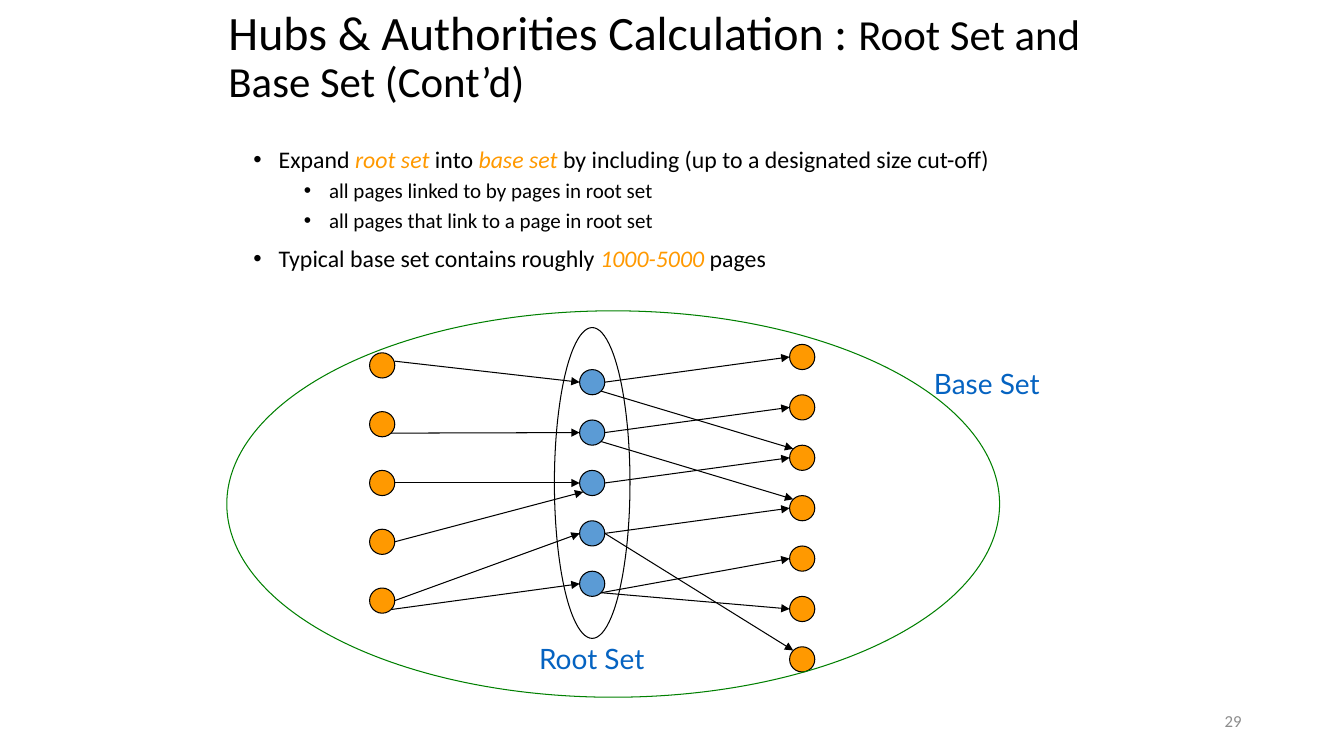
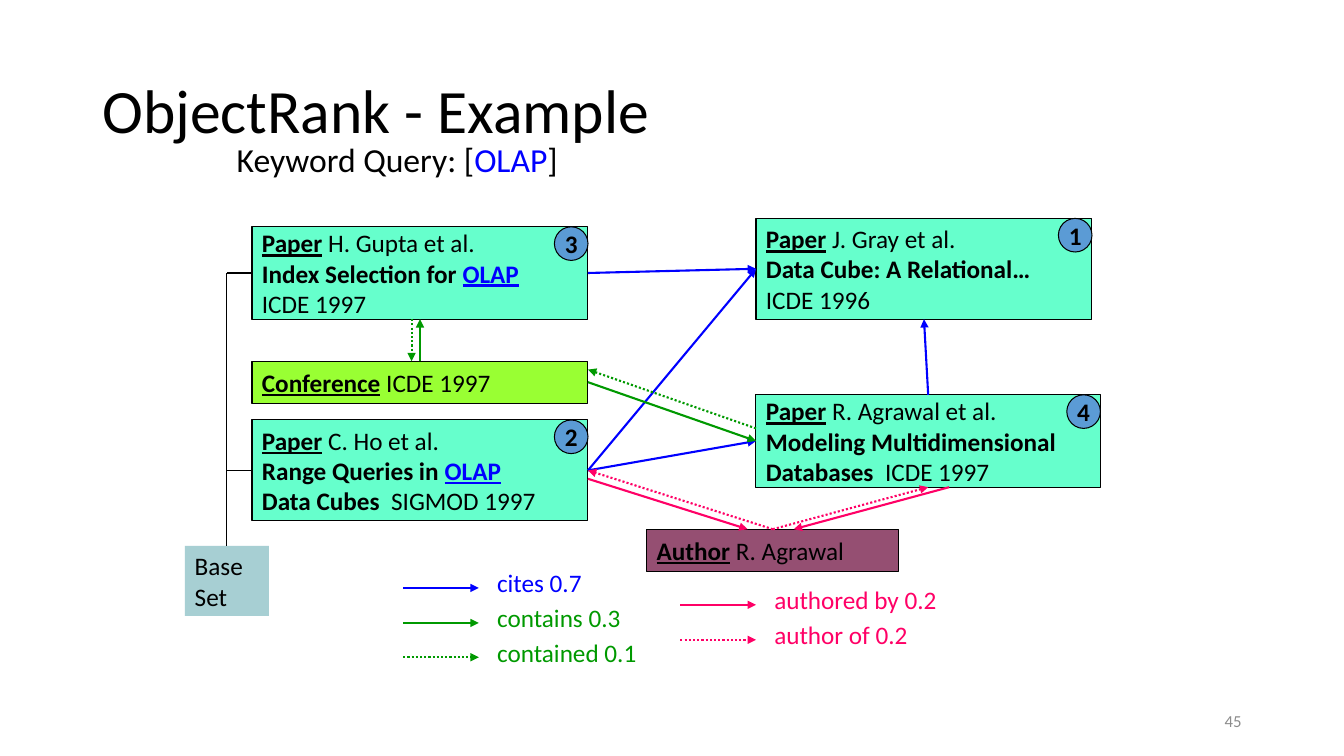
import pptx
import pptx.dml.color
import pptx.enum.dml
import pptx.enum.shapes
import pptx.enum.text
import pptx.oxml.ns
import pptx.util
from lxml import etree

Pt = pptx.util.Pt
qn = pptx.oxml.ns.qn
rgb = pptx.dml.color.RGBColor.from_string
ALIGN = pptx.enum.text.PP_ALIGN
MIDDLE = pptx.enum.text.MSO_ANCHOR.MIDDLE
SHAPE = pptx.enum.shapes.MSO_SHAPE

BLACK = "000000"
GREY = "8C8C8C"
ORANGE = "FF9900"
SKY = "5B9BD5"
LABEL_BLUE = "0563C1"
BLUE = "0000FF"
GREEN = "009900"
PINK = "FF0066"
MINT = "66FFCC"


def write(frame, runs, size, colour=BLACK, font="Calibri", align=ALIGN.LEFT):
    frame.word_wrap = True
    paragraph = frame.paragraphs[-1]
    paragraph.alignment = align
    paragraph.font.name = font
    paragraph.font.size = Pt(size)
    paragraph.font.color.rgb = rgb(colour)
    for text, style, *run_colour in runs:
        for number, line in enumerate(text.split("\n")):
            if number:
                paragraph.add_line_break()
            if not line:
                continue
            run = paragraph.add_run()
            run.text = line
            if "b" in style:
                run.font.bold = True
            if "i" in style:
                run.font.italic = True
            if "u" in style:
                run.font.underline = True
            if run_colour:
                run.font.color.rgb = rgb(run_colour[0])
    return paragraph


def draw_line(slide, start, end, colour=BLACK, weight=0.75, dotted=False, arrow=True):
    line = slide.shapes.add_connector(
        pptx.enum.shapes.MSO_CONNECTOR.STRAIGHT, *map(Pt, start + end))
    line.line.color.rgb = rgb(colour)
    line.line.width = Pt(weight)
    if dotted:
        line.line.dash_style = pptx.enum.dml.MSO_LINE.ROUND_DOT
    properties = line._element.spPr
    if arrow:
        etree.SubElement(properties.find(qn("a:ln")), qn("a:tailEnd"), type="triangle")
    etree.SubElement(properties, qn("a:effectLst"))


deck = pptx.Presentation()
deck.slide_width, deck.slide_height = Pt(960), Pt(540)

slides = []
for title_box, title_size, title_runs, page in [
    ((156, 12, 648, 59), 34.2,
     [("Hubs & Authorities Calculation : ", ""), ("Root Set and Base Set (Cont’d)", "")], "29"),
    ((66, 29, 828, 104), 44, [("ObjectRank - Example", "")], "45"),
]:
    slide = deck.slides.add_slide(deck.slide_layouts[5])
    title = slide.shapes.title
    title.left, title.top, title.width, title.height = map(Pt, title_box)
    title.text_frame.auto_size = pptx.enum.text.MSO_AUTO_SIZE.NONE
    title.text_frame.vertical_anchor = MIDDLE
    heading = write(title.text_frame, title_runs, title_size)
    heading.line_spacing = 0.9
    for subtitle in heading.runs[1:]:
        subtitle.font.size = Pt(30.6)
    page_number = slide.shapes.add_textbox(Pt(678), Pt(500), Pt(216), Pt(29)).text_frame
    page_number.vertical_anchor = MIDDLE
    write(page_number, [(page, "")], 12, GREY, align=ALIGN.RIGHT)
    slides.append(slide)

hubs, example = slides

explanation = hubs.shapes.add_textbox(Pt(174), Pt(102), Pt(612), Pt(117)).text_frame
for index, (level, runs) in enumerate([
    (0, [("Expand ", ""), ("root set", "i", ORANGE), (" into ", ""), ("base set ", "i", ORANGE),
         ("by including (up to a designated size cut-off)", "")]),
    (1, [("all pages linked to by pages in root set", "")]),
    (1, [("all pages that link to a page in root set", "")]),
    (0, [("Typical base set contains roughly ", ""), ("1000-5000", "i", ORANGE), (" pages", "")]),
]):
    point = explanation.add_paragraph() if index else explanation.paragraphs[0]
    point.level = level
    point.line_spacing = 0.9
    if index:
        point.space_before = Pt(5 if level else 10)
    bullet = point._p.get_or_add_pPr()
    bullet.set("marL", str(Pt(18 + 36 * level)))
    bullet.set("indent", str(Pt(-18)))
    etree.SubElement(bullet, qn("a:buFont"), typeface="Arial")
    etree.SubElement(bullet, qn("a:buChar"), char="•")
    write(explanation, runs, 17 - 2 * level)

DOT = 18
linking = [(264, 252 + 42 * row) for row in range(5)]
root = [(414, 264 + 36 * row) for row in range(5)]
linked = [(564, 246 + 36 * row) for row in range(7)]

ovals = [(x, y, DOT, DOT, fill, BLACK)
         for pages, fill in [(root, SKY), (linking, ORANGE), (linked, ORANGE)]
         for x, y in pages]
ovals += [(396, 234, 54, 222, None, BLACK), (162, 222, 552, 276, None, "008000")]
for left, top, width, height, fill, outline in ovals:
    oval = hubs.shapes.add_shape(SHAPE.OVAL, Pt(left), Pt(top), Pt(width), Pt(height))
    oval.shadow.inherit = False
    oval.line.color.rgb = rgb(outline)
    oval.line.width = Pt(0.75)
    if fill:
        oval.fill.solid()
        oval.fill.fore_color.rgb = rgb(fill)
    else:
        oval.fill.background()

EAST, WEST, HIGH_EAST = (18, 9), (0, 9), (18, 6)
SOUTH_EAST, SOUTH_WEST, NORTH_WEST = (15.4, 15.4), (2.6, 15.4), (2.6, 2.6)
for source, source_side, target, target_side in [
    (linking[0], HIGH_EAST, root[0], WEST),
    (linking[1], SOUTH_EAST, root[1], WEST),
    (linking[2], EAST, root[2], WEST),
    (linking[3], EAST, root[2], SOUTH_WEST),
    (linking[4], EAST, root[3], WEST),
    (linking[4], SOUTH_EAST, root[4], WEST),
    (root[0], EAST, linked[0], WEST),
    (root[1], EAST, linked[1], WEST),
    (root[2], EAST, linked[2], WEST),
    (root[3], EAST, linked[3], WEST),
    (root[4], SOUTH_EAST, linked[4], WEST),
    (root[4], SOUTH_EAST, linked[5], WEST),
    (root[3], EAST, linked[6], NORTH_WEST),
    (root[1], SOUTH_EAST, linked[3], NORTH_WEST),
    (root[0], SOUTH_EAST, linked[2], NORTH_WEST),
]:
    draw_line(hubs,
              (source[0] + source_side[0], source[1] + source_side[1]),
              (target[0] + target_side[0], target[1] + target_side[1]))

for name, left, top in [("Root Set", 378, 455), ("Base Set", 660, 258)]:
    set_label = hubs.shapes.add_textbox(Pt(left), Pt(top), Pt(102), Pt(31)).text_frame
    write(set_label, [(name, "")], 20, LABEL_BLUE, "Lato")

query = example.shapes.add_textbox(Pt(162), Pt(96), Pt(288), Pt(36)).text_frame
write(query, [("Keyword Query: [", ""), ("OLAP", "", BLUE), ("]", "")], 24)

for left, top, width, height, fill, rank, runs in [
    (540, 156, 240, 72, MINT, "1",
     [("Paper", "bu"), (" J. Gray et al.\n", ""), ("Data Cube: A Relational…\n", "b"),
      ("ICDE 1996", "")]),
    (180, 300, 240, 72, MINT, "2",
     [("Paper", "bu"), (" C. Ho et al.\n", ""), ("Range Queries in ", "b"),
      ("OLAP", "bu", BLUE), ("\nData Cubes  ", "b"), ("SIGMOD 1997", "")]),
    (180, 162, 240, 66, MINT, "3",
     [("Paper", "bu"), (" H. Gupta et al.\n", ""), ("Index Selection for ", "b"),
      ("OLAP", "bu", BLUE), ("\nICDE 1997", "")]),
    (540, 282, 246, 66, MINT, "4",
     [("Paper", "bu"), (" R. Agrawal et al.\n", ""),
      ("Modeling Multidimensional\nDatabases  ", "b"), ("ICDE 1997", "")]),
    (180, 258, 240, 30, "99FF33", None, [("Conference", "bu"), (" ICDE 1997", "")]),
    (462, 378, 180, 30, "954F72", None, [("Author", "bu"), (" R. Agrawal", "")]),
    (132, 390, 60, 50, "A7CFD3", None, [("Base\nSet", "")]),
]:
    parts = [(SHAPE.RECTANGLE, left, top, width, height, fill, runs, ALIGN.LEFT)]
    if rank:
        parts.append((SHAPE.OVAL, left + width - 24, top, 24, 24, SKY, [(rank, "b")],
                      ALIGN.CENTER))
    for kind, x, y, w, h, paint, words, align in parts:
        node = example.shapes.add_shape(kind, Pt(x), Pt(y), Pt(w), Pt(h))
        node.shadow.inherit = False
        node.fill.solid()
        node.fill.fore_color.rgb = rgb(paint)
        if paint == "A7CFD3":
            node.line.fill.background()
        else:
            node.line.color.rgb = rgb(BLACK)
            node.line.width = Pt(0.75)
        frame = node.text_frame
        frame.vertical_anchor = MIDDLE
        if kind == SHAPE.OVAL:
            frame.margin_left = frame.margin_right = frame.margin_top = frame.margin_bottom = 0
        write(frame, words, 18, align=align)

for start, end in [((162, 390), (162, 195)), ((162, 195), (180, 195)), ((162, 336), (180, 336))]:
    draw_line(example, start, end, arrow=False)

for relation, colour, dotted, key_left, key_y, routes in [
    ("cites 0.7", BLUE, False, 288, 420,
     [((420, 195), (540, 192)), ((663, 282), (660, 228)),
      ((420, 336), (540, 192)), ((420, 336), (540, 315))]),
    ("contains 0.3", GREEN, False, 288, 445,
     [((300, 258), (300, 228)), ((420, 273), (540, 315))]),
    ("contained 0.1", GREEN, True, 288, 469.5,
     [((540, 306), (420, 264)), ((294, 228), (294, 258))]),
    ("authored by 0.2", PINK, False, 486, 432,
     [((678, 348), (567, 378)), ((420, 342), (534, 378))]),
    ("author of 0.2", PINK, True, 486, 457,
     [((552, 378), (663, 348)), ((552, 378), (420, 336))]),
]:
    for start, end in routes + [((key_left, key_y), (key_left + 54, key_y))]:
        draw_line(example, start, end, colour, 1.5, dotted)
    key = example.shapes.add_textbox(Pt(key_left + 60), Pt(key_y - 18), Pt(150), Pt(29))
    write(key.text_frame, [(relation, "")], 18, colour)

deck.save("out.pptx")
